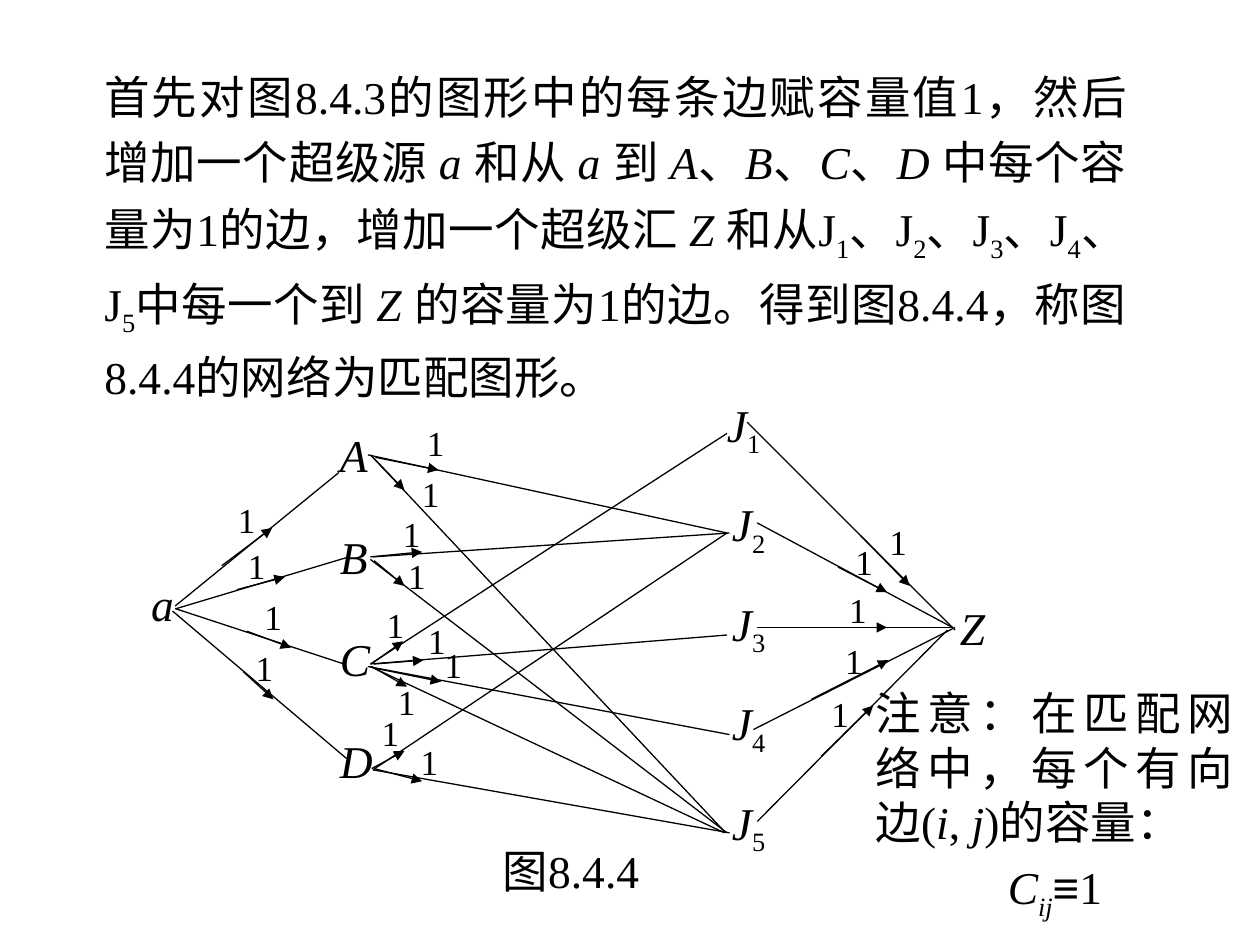
import pptx
import pptx.dml.color
import pptx.enum.shapes
import pptx.enum.text
import pptx.util
from lxml import etree
from pptx.oxml.ns import qn
from pptx.util import Inches

COLORS = {"ink": "000000", "background": "FFFFFF"}
BODY_FONT = "Times New Roman"
SYMBOL_FONT = "Arial"
BODY_SIZE = 26
LABEL_SIZE = 20
ALIGN = pptx.enum.text.PP_ALIGN

# In texts, * switches italic, _ switches subscript and | switches the symbol font.
INTRODUCTION = (
    "首先对图8.4.3的图形中的每条边赋容量值1，然后增加一个超级源 *a *和从 *a *到 "
    "*A*、*B*、*C*、*D *中每个容量为1的边，增加一个超级汇 *Z *"
    "和从J_1_、J_2_、J_3_、J_4_、J_5_中每一个到 *Z *的容量为1的边。"
    "得到图8.4.4，称图8.4.4的网络为匹配图形。"
)
NOTE = "注意：在匹配网络中，每个有向边(*i*,* j*)的容量："

# Each edge: line start, line end, arrow start, arrow tip, corner of the capacity label
EDGES = [
    # From the source a to A, B, C, D
    ((1.39, 4.81), (2.69, 3.75), (1.76, 4.49), (2.16, 4.19), (1.79, 3.91)),
    ((1.40, 4.83), (2.77, 4.42), (1.88, 4.68), (2.26, 4.58), (1.87, 4.27)),
    ((1.39, 4.83), (2.73, 5.27), (1.96, 5.01), (2.31, 5.14), (2.00, 4.68)),
    ((1.37, 4.85), (2.75, 6.02), (1.93, 5.33), (2.17, 5.55), (1.93, 5.08)),
    # From A to J2, J5
    ((2.92, 3.61), (5.77, 4.23), (2.98, 3.63), (3.48, 3.73), (3.29, 3.30)),
    ((2.96, 3.63), (5.75, 6.60), (2.94, 3.61), (3.21, 3.89), (3.25, 3.70)),
    # From B to J2, J5
    ((2.96, 4.42), (5.79, 4.23), (2.94, 4.42), (3.35, 4.38), (3.10, 4.02)),
    ((2.94, 4.44), (5.77, 6.61), (2.97, 4.45), (3.21, 4.65), (3.14, 4.35)),
    # From C to J1, J3, J4, J5
    ((2.94, 5.27), (5.77, 3.44), (2.96, 5.26), (3.20, 5.09), (2.97, 4.74)),
    ((2.94, 5.27), (5.77, 5.04), (2.97, 5.27), (3.36, 5.24), (3.30, 4.87)),
    ((2.92, 5.29), (5.79, 5.83), (2.96, 5.30), (3.50, 5.41), (3.43, 5.06)),
    ((2.94, 5.29), (5.75, 6.61), (2.95, 5.29), (3.23, 5.45), (3.06, 5.35)),
    # From D to J2, J5
    ((2.96, 6.11), (5.77, 4.23), (2.95, 6.10), (3.21, 5.96), (2.93, 5.60)),
    ((2.96, 6.11), (5.79, 6.61), (2.97, 6.10), (3.35, 6.20), (3.24, 5.83)),
    # From J1 to J5 to the sink Z
    ((5.93, 3.35), (7.58, 5.00), (6.83, 4.25), (7.22, 4.65), (6.96, 4.08)),
    ((6.01, 4.15), (7.56, 4.98), (6.65, 4.50), (7.04, 4.70), (6.69, 4.24)),
    ((6.01, 4.98), (7.56, 4.98), (6.47, 4.98), (7.04, 4.98), (6.64, 4.62)),
    ((5.98, 5.79), (7.58, 4.98), (6.44, 5.55), (7.05, 5.24), (6.61, 5.03)),
    ((6.01, 6.52), (7.52, 5.00), (6.52, 6.00), (6.93, 5.60), (6.50, 5.45)),
]


def color(name):
    return pptx.dml.color.RGBColor.from_string(COLORS[name])


def styled_pieces(text):
    """Yield each piece of the text with the set of switches that are on."""
    switches, piece = set(), ""
    for character in text:
        if character in "*_|":
            if piece:
                yield piece, set(switches)
            switches ^= {character}
            piece = ""
        else:
            piece += character
    if piece:
        yield piece, switches


class SlideBuilder:
    def __init__(self, slide):
        self.slide = slide
        slide.background.fill.solid()
        slide.background.fill.fore_color.rgb = color("background")

    def text(self, left, top, width, height, text, size=BODY_SIZE,
             align=ALIGN.LEFT, wrap=False, spacing=None):
        shape = self.slide.shapes.add_textbox(
            Inches(left), Inches(top), Inches(width), Inches(height))
        frame = shape.text_frame
        frame.word_wrap = wrap
        frame.auto_size = pptx.enum.text.MSO_AUTO_SIZE.SHAPE_TO_FIT_TEXT
        paragraph = frame.paragraphs[0]
        paragraph.alignment = align
        if spacing:
            paragraph.line_spacing = spacing
        paragraph.font.size = pptx.util.Pt(size)
        paragraph.font.color.rgb = color("ink")
        pieces = list(styled_pieces(text))
        one_font = not any("|" in switches for _, switches in pieces)
        if one_font:
            paragraph.font.name = BODY_FONT
        all_italic = all("*" in switches for _, switches in pieces)
        if all_italic:
            paragraph.font.italic = True
        for piece, switches in pieces:
            run = paragraph.add_run()
            run.text = piece
            if not one_font:
                run.font.name = SYMBOL_FONT if "|" in switches else BODY_FONT
            if "*" in switches and not all_italic:
                run.font.italic = True
            if "_" in switches:
                run._r.get_or_add_rPr().set("baseline", "-25000")

    def line(self, start, end, arrow=False):
        connector = self.slide.shapes.add_connector(
            pptx.enum.shapes.MSO_CONNECTOR.STRAIGHT,
            *(Inches(length) for length in start + end))
        connector.line.color.rgb = color("ink")
        connector.line.width = pptx.util.Pt(0.75)
        if arrow:
            outline = connector.line._get_or_add_ln()
            etree.SubElement(outline, qn("a:tailEnd"), type="triangle")
        etree.SubElement(connector._element.spPr, qn("a:effectLst"))

    def edge(self, start, end, arrow_start, arrow_tip, label):
        self.line(start, end)
        self.line(arrow_start, arrow_tip, arrow=True)
        self.text(*label, 0.34, 0.44, "1", size=LABEL_SIZE)


def main():
    presentation = pptx.Presentation()
    presentation.slide_width = Inches(10)
    presentation.slide_height = Inches(7.5)
    builder = SlideBuilder(
        presentation.slides.add_slide(presentation.slide_layouts[6]))

    # Introduction
    builder.text(0.73, 0.41, 8.31, 2.84, INTRODUCTION,
                 align=ALIGN.JUSTIFY, wrap=True, spacing=1.2)

    # Network edges with their capacities
    for edge in EDGES:
        builder.edge(*edge)

    # Network nodes
    builder.text(1.1, 4.52, 0.38, 0.54, "*a*")
    builder.text(7.52, 4.71, 0.4, 0.54, "*Z*")
    for row, name in enumerate("ABCD"):
        builder.text(2.6, 3.34 + 0.81 * row, 0.5, 0.54, f"*{name}*", wrap=True)
    for row in range(5):
        left = 5.71 if row else 5.67
        # Wide enough to keep the subscript beside its letter
        builder.text(left, 3.1 + 0.79 * row, 0.5, 0.6, f"*J*_{row + 1}_",
                     wrap=True)

    # Caption
    builder.text(3.89, 6.64, 1.37, 0.54, "图8.4.4")

    # Note on the capacities
    builder.text(6.85, 5.39, 3.04, 1.4, NOTE, align=ALIGN.JUSTIFY, wrap=True)
    builder.text(7.9, 6.77, 1.54, 0.6, "*C_ij_*|≡|1", wrap=True)

    presentation.save("out.pptx")


if __name__ == "__main__":
    main()
